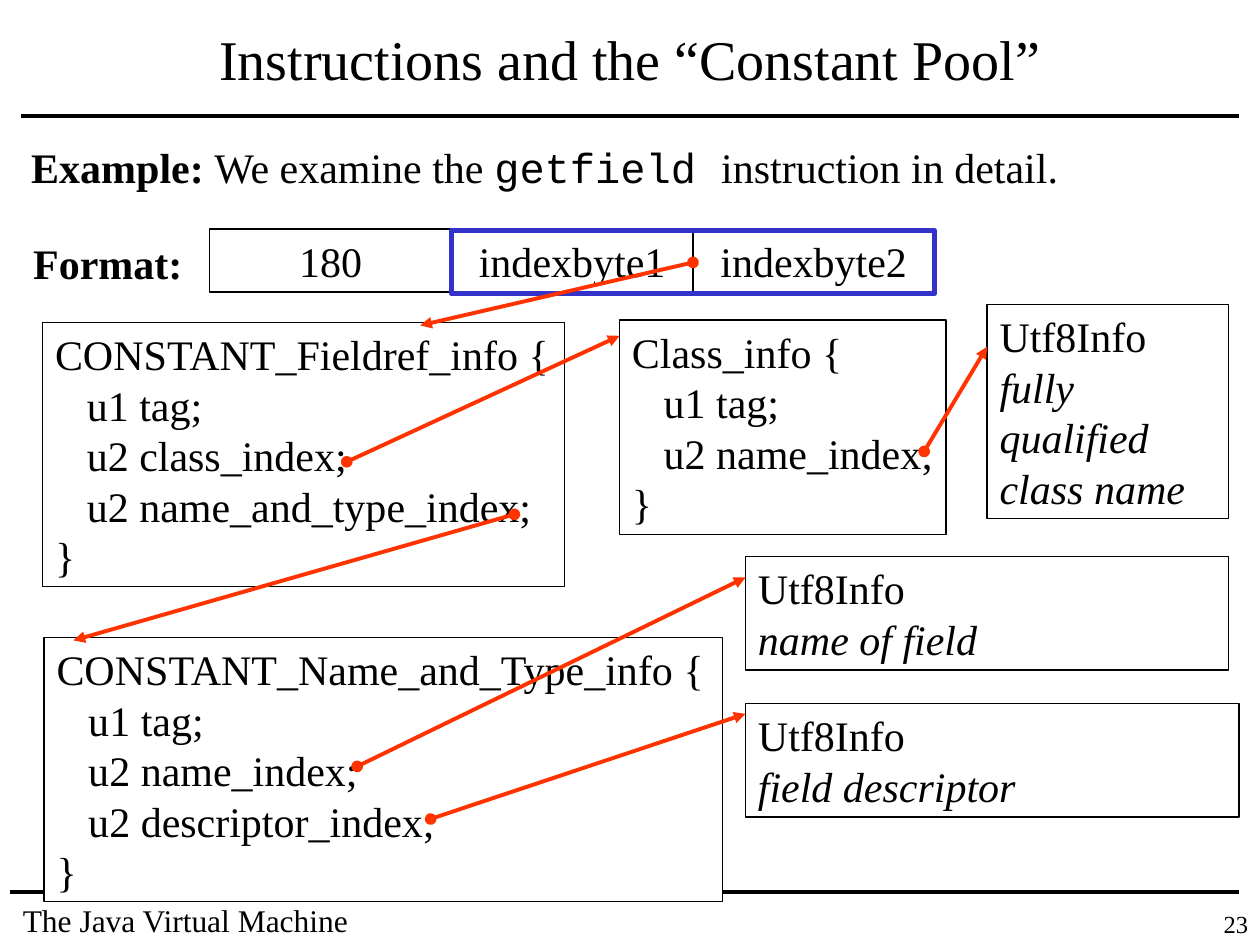
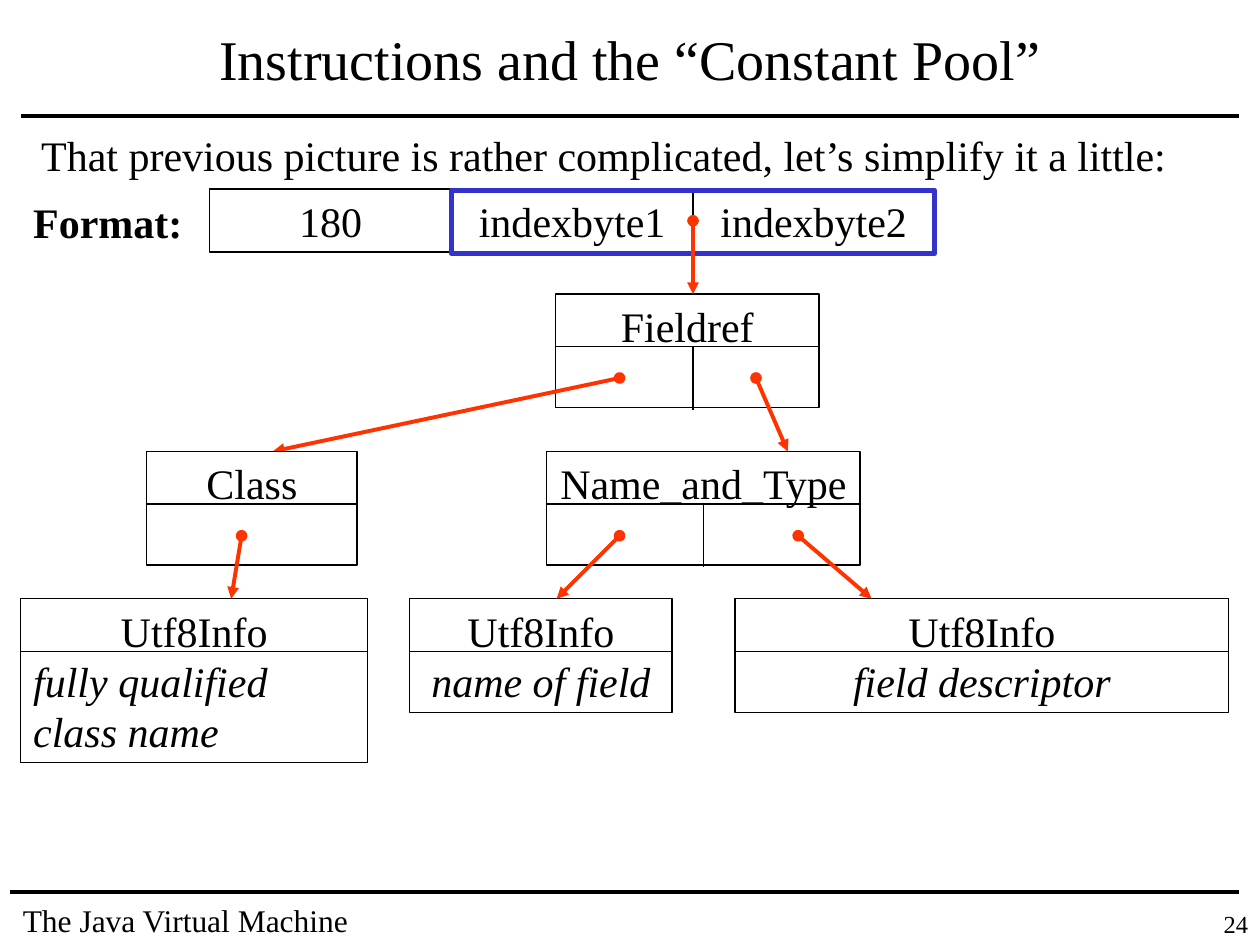
import pptx
import pptx.dml.color
import pptx.enum.shapes
import pptx.enum.text
import pptx.oxml.ns
import pptx.util
import lxml.etree

Cm, Pt = pptx.util.Cm, pptx.util.Pt
ALIGN = pptx.enum.text.PP_ALIGN
ANCHOR = pptx.enum.text.MSO_ANCHOR
SERIF, MONO = "Times New Roman", "Courier New"
BLACK, WHITE, BLUE, RED = "000000", "FFFFFF", "3333CC", "FF3300"
THIN, RULE, THICK = 0.75, 2.25, 3
ROW = 1.27
NODE_HEIGHT = 2.29
NODE_HEAD = 1.06
CODE_INDENT = 0.64


def rgb(value):
    """Return the colour for a hex string."""
    return pptx.dml.color.RGBColor.from_string(value)


def add_run(p, text, size=24, bold=False, italic=False, font=SERIF):
    """Add one formatted run to a paragraph."""
    r = p.add_run()
    r.text = text
    r.font.name, r.font.size = font, Pt(size)
    r.font.bold, r.font.italic = bold, italic
    r.font.color.rgb = rgb(BLACK)


def set_frame(tf, wrap=True, anchor=ANCHOR.TOP):
    """Set the margins, wrapping and anchor of a text frame."""
    tf.margin_left = tf.margin_right = Cm(0.25)
    tf.margin_top = tf.margin_bottom = Cm(0.13)
    tf.word_wrap, tf.vertical_anchor = wrap, anchor


def add_text(s, box, runs, align=ALIGN.LEFT, wrap=True, before=0):
    """Add a one-paragraph text box from (text, format) runs."""
    sp = s.shapes.add_textbox(*map(Cm, box))
    set_frame(sp.text_frame, wrap)
    p = sp.text_frame.paragraphs[0]
    p.alignment, p.space_before = align, Pt(before)
    for text, style in runs:
        add_run(p, text, **style)
    return sp


def add_box(s, box, fill=WHITE, line=BLACK, width=THIN):
    """Add a plain outlined rectangle."""
    sp = s.shapes.add_shape(pptx.enum.shapes.MSO_SHAPE.RECTANGLE, *map(Cm, box))
    sp.shadow.inherit = False
    if fill:
        sp.fill.solid()
        sp.fill.fore_color.rgb = rgb(fill)
    else:
        sp.fill.background()
    sp.line.color.rgb, sp.line.width = rgb(line), Pt(width)
    return sp


def add_line(s, start, end, color=BLACK, width=THIN):
    """Add a straight line between two points."""
    cn = s.shapes.add_connector(
        pptx.enum.shapes.MSO_CONNECTOR.STRAIGHT, *map(Cm, start + end))
    cn.line.color.rgb, cn.line.width = rgb(color), Pt(width)
    lxml.etree.SubElement(cn.element.spPr, pptx.oxml.ns.qn("a:effectLst"))
    return cn


def add_arrow(s, start, end):
    """Add a red pointer with a dot at its start and a head at its end."""
    cn = add_line(s, start, end, RED, RULE)
    ln = cn.element.spPr.find(pptx.oxml.ns.qn("a:ln"))
    for tag, kind in (("a:headEnd", "oval"), ("a:tailEnd", "triangle")):
        lxml.etree.SubElement(ln, pptx.oxml.ns.qn(tag), type=kind)


def add_lines(sp, lines, align=ALIGN.LEFT, wrap=True):
    """Write (text, italic, indent) lines into a box."""
    tf = sp.text_frame
    set_frame(tf, wrap)
    for i, (text, italic, indent) in enumerate(lines):
        p = tf.add_paragraph() if i else tf.paragraphs[0]
        p.alignment = align[i] if isinstance(align, tuple) else align
        if indent:
            p._p.get_or_add_pPr().set("marL", str(Cm(indent)))
        add_run(p, text, italic=italic)


def struct_box(s, box, name, fields):
    """Draw a structure declaration with indented fields."""
    lines = [(name + " {", False, 0)]
    lines += [(f + ";", False, CODE_INDENT) for f in fields]
    add_lines(add_box(s, box), lines + [("}", False, 0)], wrap=False)


def utf8_box(s, box, content):
    """Draw a Utf8Info box with its content in italics."""
    add_lines(add_box(s, box), [("Utf8Info", False, 0), (content, True, 0)])


def node(s, box, name, content=None, divider=None, align=ALIGN.CENTER, wrap=True):
    """Draw a tree node: a head, a rule and a body that may be divided."""
    x, y, w, h = box
    lines = [(name, False, 0)] + ([(content, True, 0)] if content else [])
    add_lines(add_box(s, box), lines, (ALIGN.CENTER, align), wrap)
    add_line(s, (x, y + NODE_HEAD), (x + w, y + NODE_HEAD))
    if divider:
        add_line(s, (x + divider, y + NODE_HEAD), (x + divider, y + NODE_HEAD + ROW))


def format_bar(s, top):
    """Draw the instruction format with its two index bytes outlined."""
    left, w = 4.23, 4.87
    for i, text in enumerate(("180", "indexbyte1", "indexbyte2")):
        sp = add_box(s, (left + i * w, top, w, ROW))
        add_lines(sp, [(text, False, 0)], ALIGN.CENTER)
    add_text(s, (0.42, top + 0.03, 3.51, ROW), [("Format:", {"bold": True})], wrap=False)
    add_box(s, (left + w, top + 0.03, 2 * w, ROW), None, BLUE, THICK)


def shared_frame(s):
    """Put the two rules and the footer on the layout of a slide."""
    parts = [
        add_line(s, (0.42, 2.33), (24.98, 2.33), width=RULE),
        add_text(s, (0.21, 18.03, 9.73, 1.02),
                 [("The Java Virtual Machine", {"size": 18})], before=11.2),
        add_line(s, (0.21, 17.99), (24.98, 17.99), width=RULE),
    ]
    for part in parts:
        s.slide_layout.element.cSld.spTree.append(part.element)


def new_slide(prs, title, number):
    """Add a slide with its title and page number."""
    s = prs.slides.add_slide(prs.slide_layouts[5])
    sp = s.shapes.title
    sp.left, sp.top, sp.width, sp.height = map(Cm, (0.64, 0.21, 24.13, 1.91))
    set_frame(sp.text_frame, anchor=ANCHOR.MIDDLE)
    p = sp.text_frame.paragraphs[0]
    p.alignment = ALIGN.CENTER
    add_run(p, title, size=32)
    add_text(s, (23.5, 18.2, 1.91, 0.85), [(str(number), {"size": 14})], ALIGN.RIGHT)
    return s


def structures_slide(s):
    """Show the structures that getfield refers to."""
    add_text(s, (0.38, 2.72, 24.18, ROW), [
        ("Example: ", {"bold": True}),
        ("We examine the ", {}),
        ("getfield ", {"font": MONO}),
        ("instruction in detail. ", {}),
    ], before=9)
    format_bar(s, 4.62)
    struct_box(s, (0.86, 6.5, 10.52, 5.33), "CONSTANT_Fieldref_info",
               ("u1 tag", "u2 class_index", "u2 name_and_type_index"))
    struct_box(s, (12.49, 6.45, 6.58, 4.32), "Class_info",
               ("u1 tag", "u2 name_index"))
    struct_box(s, (0.89, 12.85, 13.67, 5.33), "CONSTANT_Name_and_Type_info",
               ("u1 tag", "u2 name_index", "u2 descriptor_index"))
    utf8_box(s, (19.9, 6.14, 4.87, 4.32), "fully qualified class name")
    utf8_box(s, (15.03, 11.22, 9.74, NODE_HEIGHT), "name of field")
    utf8_box(s, (15.03, 14.18, 9.95, NODE_HEIGHT), "field descriptor")
    for start, end in (
        ((13.97, 5.29), (8.47, 6.56)),
        ((6.99, 9.31), (12.49, 6.77)),
        ((18.63, 9.1), (19.9, 6.99)),
        ((10.37, 10.37), (1.48, 12.91)),
        ((7.2, 15.45), (15.03, 11.64)),
        ((8.68, 16.51), (15.03, 14.39)),
    ):
        add_arrow(s, start, end)


def tree_slide(s):
    """Show the same references as a tree."""
    add_text(s, (0.58, 2.49, 23.24, ROW), [
        ("That previous picture is rather complicated, let’s simplify it a little:", {}),
    ], wrap=False)
    format_bar(s, 3.81)
    root, middle, leaf = 5.93, 9.1, 12.07
    dots = (7.62, 10.8)
    node(s, (11.2, root, 5.31, NODE_HEIGHT), "Fieldref", divider=2.77)
    add_arrow(s, (12.49, dots[0]), (5.5, middle))
    node(s, (2.96, middle, 4.24, NODE_HEIGHT), "Class")
    node(s, (11.02, middle, 6.32, NODE_HEIGHT), "Name_and_Type", divider=3.16, wrap=False)
    node(s, (0.42, leaf, 6.99, 3.3), "Utf8Info", "fully qualified class name",
         align=ALIGN.LEFT)
    node(s, (8.26, leaf, 5.29, NODE_HEIGHT), "Utf8Info", "name of field")
    node(s, (14.82, leaf, 9.95, NODE_HEIGHT), "Utf8Info", "field descriptor")
    add_arrow(s, (13.97, 4.45), (13.97, root))
    add_arrow(s, (15.24, dots[0]), (15.88, middle))
    for x1, x2 in ((4.87, 4.66), (12.49, 11.22), (16.09, 17.57)):
        add_arrow(s, (x1, dots[1]), (x2, leaf))


def main():
    """Build and save the presentation."""
    prs = pptx.Presentation()
    prs.slide_width, prs.slide_height = Cm(25.4), Cm(19.05)
    title = "Instructions and the “Constant Pool”"
    for number, build in enumerate((structures_slide, tree_slide), 23):
        s = new_slide(prs, title, number)
        if number == 23:
            shared_frame(s)
        build(s)
    prs.save("out.pptx")


main()
